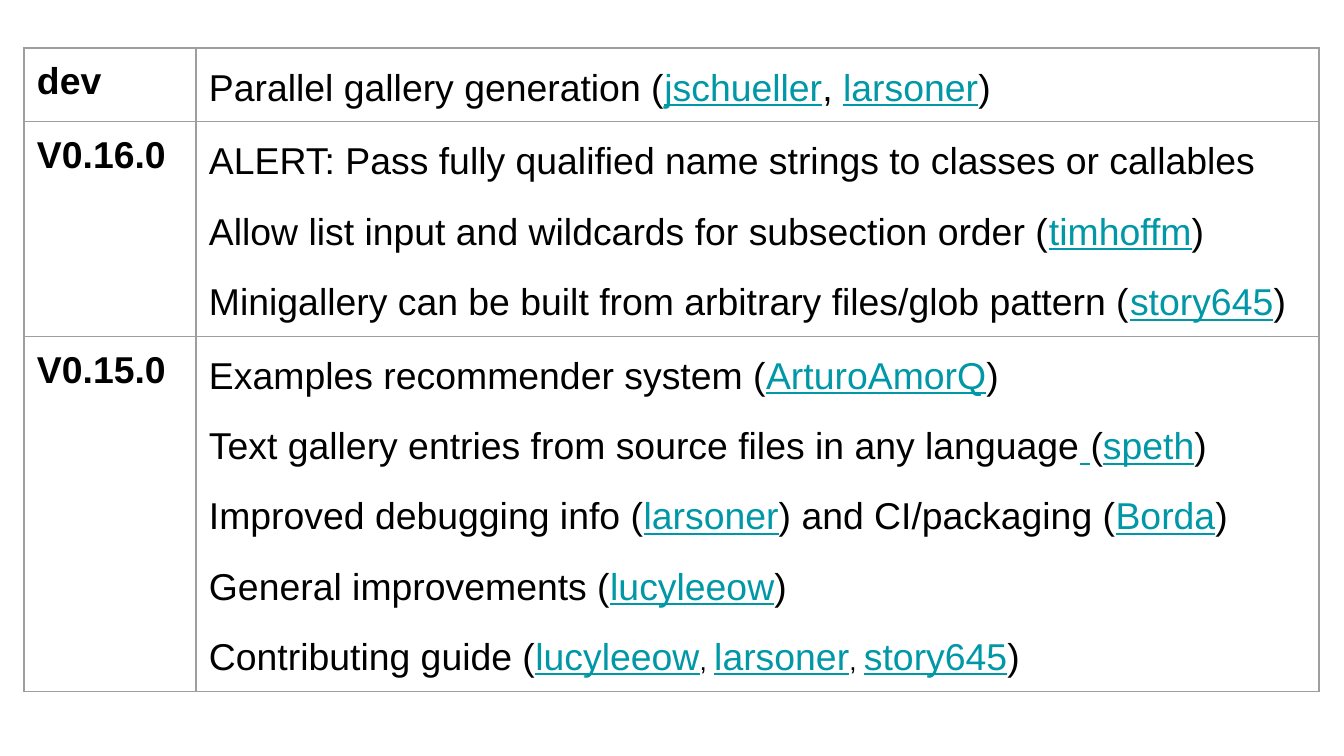
import pptx
import pptx.dml.color
import pptx.oxml
import pptx.oxml.ns
import pptx.util
from dataclasses import dataclass


@dataclass(frozen=True)
class Theme:
    font: str = "Arial"
    ink: str = "000000"
    link: str = "0097A7"
    rule: str = "9E9E9E"
    line: float = 0.75
    body: int = 20
    small: int = 14
    gap: int = 12
    lead: float = 1.15


THEME = Theme()
SCALE = 914400 / 134.4

# Content: each line alternates plain text and linked names;
# a tuple gives a run its own type size
NOTES = [
    ("dev", [
        ["Parallel gallery generation (", "jschueller", ", ", "larsoner", ")"],
    ]),
    ("V0.16.0", [
        ["ALERT: Pass fully qualified name strings to classes or callables"],
        ["Allow list input and wildcards for subsection order (", "timhoffm", ")"],
        ["Minigallery can be built from arbitrary files/glob pattern (", "story645", ")"],
    ]),
    ("V0.15.0", [
        ["Examples recommender system (", "ArturoAmorQ", ")"],
        ["Text gallery entries from source files in any language", " ", "(", "speth", ")"],
        ["Improved debugging info (", "larsoner", ") and CI/packaging (", "Borda", ")"],
        ["General improvements (", "lucyleeow", ")"],
        ["Contributing guide (", "lucyleeow", (", ", THEME.small), "larsoner",
         (", ", THEME.small), "story645", ")"],
    ]),
]
SLIDE = (1344, 756)
LEFT, TOP = 24, 48
COLS = (172, 1123)
ROWS = (63, 195, 327)
INSET = 13


def px(n):
    return pptx.util.Emu(round(n * SCALE))


def add_run(para, text, size=THEME.body, bold=False, link=False):
    run = para.add_run()
    run.text = text
    font = run.font
    font.name, font.size = THEME.font, pptx.util.Pt(size)
    font.bold, font.underline = bold, link
    color = THEME.link if link else THEME.ink
    font.color.rgb = pptx.dml.color.RGBColor.from_string(color)


def style_cell(cell):
    props = cell._tc.get_or_add_tcPr()
    for side in ("lnL", "lnR", "lnT", "lnB"):
        props.append(pptx.oxml.parse_xml(
            f'<a:{side} {pptx.oxml.ns.nsdecls("a")} w="{pptx.util.Pt(THEME.line)}">'
            f'<a:solidFill><a:srgbClr val="{THEME.rule}"/></a:solidFill></a:{side}>'))
    cell.fill.background()
    cell.margin_left = cell.margin_right = px(INSET)
    cell.margin_top = cell.margin_bottom = px(INSET)


def fill_notes(frame, lines):
    for i, line in enumerate(lines):
        para = frame.add_paragraph() if i else frame.paragraphs[0]
        para.line_spacing = THEME.lead
        para.space_before = pptx.util.Pt(THEME.gap if i else 0)
        last = i == len(lines) - 1
        para.space_after = pptx.util.Pt(THEME.gap if last else 0)
        for j, part in enumerate(line):
            text, size = part if isinstance(part, tuple) else (part, THEME.body)
            add_run(para, text, size, link=j % 2 == 1)


# Slide
deck = pptx.Presentation()
deck.slide_width, deck.slide_height = map(px, SLIDE)
slide = deck.slides.add_slide(deck.slide_layouts[6])

# Table grid
table = slide.shapes.add_table(
    len(ROWS), len(COLS), px(LEFT), px(TOP), px(sum(COLS)), px(sum(ROWS))).table
table.first_row = table.horz_banding = False
for col, width in zip(table.columns, COLS):
    col.width = px(width)

# Release rows
for row, height, (name, lines) in zip(table.rows, ROWS, NOTES):
    row.height = px(height)
    head, body = row.cells
    style_cell(head)
    style_cell(body)
    add_run(head.text_frame.paragraphs[0], name, bold=True)
    fill_notes(body.text_frame, lines)

deck.save("out.pptx")
